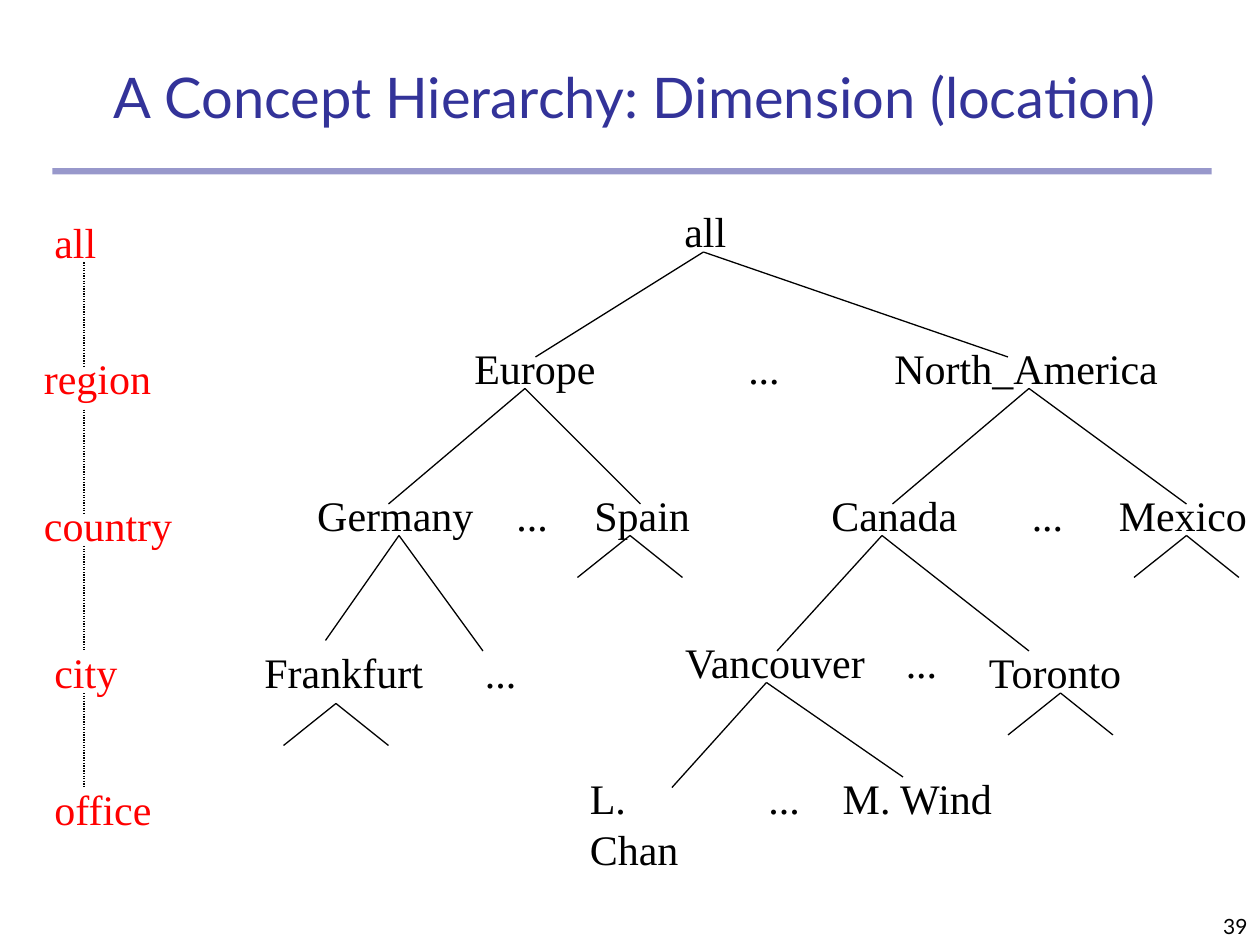
"""Build a slide with the concept hierarchy of the location dimension."""
from lxml.etree import SubElement
from pptx import Presentation
from pptx.dml.color import RGBColor
from pptx.enum.dml import MSO_LINE
from pptx.enum.shapes import MSO_CONNECTOR, MSO_SHAPE
from pptx.enum.text import MSO_ANCHOR as Anchor, MSO_AUTO_SIZE as AutoSize, PP_ALIGN as Align
from pptx.oxml.ns import qn
from pptx.util import Pt

BLACK = RGBColor(0x00, 0x00, 0x00)
RED = RGBColor(0xFF, 0x00, 0x00)
INDIGO = RGBColor(0x33, 0x33, 0x99)
SANS, SERIF = "Lato", "Times New Roman"

TITLE = "A Concept Hierarchy: Dimension (location)"
PAGE_NUMBER = "39"
LABEL_HEIGHT = 36
DOTS_WIDTH = 32.4

# Each level: name, left, top, width
LEVELS = [
    ("all", 24, 120, 38.2),
    ("region", 18, 198, 75.6),
    ("country", 18, 282, 87.8),
    ("city", 24, 366, 50.4),
    ("office", 24, 444, 69.8),
]
LEVEL_LINK_LEFT = 48
LEVEL_LINKS = [(150, 210), (234, 294), (312, 372), (396, 450)]

NODES = {
    114: [("all", 384, 38.2)],
    192: [("Europe", 264, 83.5), ("...", 420.5, DOTS_WIDTH), ("North_America", 504, 165)],
    276: [
        ("Germany", 174.2, 103.7), ("...", 288, DOTS_WIDTH), ("Spain", 332.6, 69.1),
        ("Canada", 468, 86.4), ("...", 582.5, DOTS_WIDTH), ("Mexico", 632.2, 87.8),
    ],
    360: [("Vancouver", 384.5, 119.5), ("...", 510.5, DOTS_WIDTH)],
    366: [("Frankfurt", 144, 105.1), ("...", 270, DOTS_WIDTH), ("Toronto", 558, 91.4)],
    438: [("L. Chan", 330, 91.4), ("...", 432, DOTS_WIDTH), ("M. Wind", 474.5, 100.8)],
}

BRANCHES = [
    ((402, 144), (306, 204), (576, 204)),
    ((300, 222), (222, 288), (366, 288)),
    ((588, 222), (510, 288), (678, 288)),
    ((228, 306), (186, 366), (276, 372)),
    ((504, 306), (444, 372), (588, 372)),
    ((438, 390), (384, 450), (516, 444)),
]
FOLDED_TOPS = [(360, 306), (678, 306), (192, 402), (606, 396)]
FOLD_WIDTH, FOLD_HEIGHT = 30, 24


def style(paragraph, name, size, color):
    paragraph.font.name = name
    paragraph.font.size = Pt(size)
    paragraph.font.color.rgb = color


def add_label(page, text, left, top, width, color):
    box = page.shapes.add_textbox(Pt(left), Pt(top), Pt(width), Pt(LABEL_HEIGHT))
    box.text_frame.word_wrap = False
    box.text_frame.auto_size = AutoSize.SHAPE_TO_FIT_TEXT
    paragraph = box.text_frame.paragraphs[0]
    paragraph.text = text
    style(paragraph, SERIF, 24, color)


def add_line(page, start, end, dash=None):
    line = page.shapes.add_connector(MSO_CONNECTOR.STRAIGHT, *map(Pt, start + end))
    line.line.color.rgb = BLACK
    line.line.width = Pt(0.75)
    if dash:
        line.line.dash_style = dash
    SubElement(line._element.spPr, qn("a:effectLst"))


def add_frame(page):
    rule = page.shapes.add_shape(MSO_SHAPE.RECTANGLE, Pt(30), Pt(96), Pt(662.4), Pt(3.6))
    rule.shadow.inherit = False
    rule.line.fill.background()
    rule.fill.solid()
    rule.fill.fore_color.rgb = INDIGO
    color = rule._element.spPr.find(qn("a:solidFill")).find(qn("a:srgbClr"))
    SubElement(color, qn("a:alpha"), val="50000")

    title = page.shapes.title
    title.left, title.top, title.width, title.height = map(Pt, (48, 30, 630, 48))
    title.text_frame.text = TITLE
    title.text_frame.auto_size = AutoSize.NONE
    title.text_frame.vertical_anchor = Anchor.BOTTOM
    heading = title.text_frame.paragraphs[0]
    heading.alignment = Align.CENTER
    style(heading, SANS, 32, INDIGO)

    number = page.shapes.add_textbox(Pt(570), Pt(504), Pt(150), Pt(36))
    number.text_frame.word_wrap = True
    number.text_frame.vertical_anchor = Anchor.BOTTOM
    paragraph = number.text_frame.paragraphs[0]
    paragraph.text = PAGE_NUMBER
    paragraph.alignment = Align.RIGHT
    style(paragraph, SANS, 12, BLACK)


def main():
    deck = Presentation()
    deck.slide_width, deck.slide_height = Pt(720), Pt(540)
    page = deck.slides.add_slide(deck.slide_layouts[5])
    add_frame(page)

    for top, nodes in NODES.items():
        for text, left, width in nodes:
            add_label(page, text, left, top, width, BLACK)
    for level in LEVELS:
        add_label(page, *level, RED)

    folds = [
        ((x, y), (x - FOLD_WIDTH, y + FOLD_HEIGHT), (x + FOLD_WIDTH, y + FOLD_HEIGHT))
        for x, y in FOLDED_TOPS
    ]
    for parent, *children in BRANCHES + folds:
        for child in children:
            add_line(page, parent, child)
    for top, bottom in LEVEL_LINKS:
        add_line(page, (LEVEL_LINK_LEFT, top), (LEVEL_LINK_LEFT, bottom), MSO_LINE.ROUND_DOT)

    deck.save("out.pptx")


if __name__ == "__main__":
    main()
